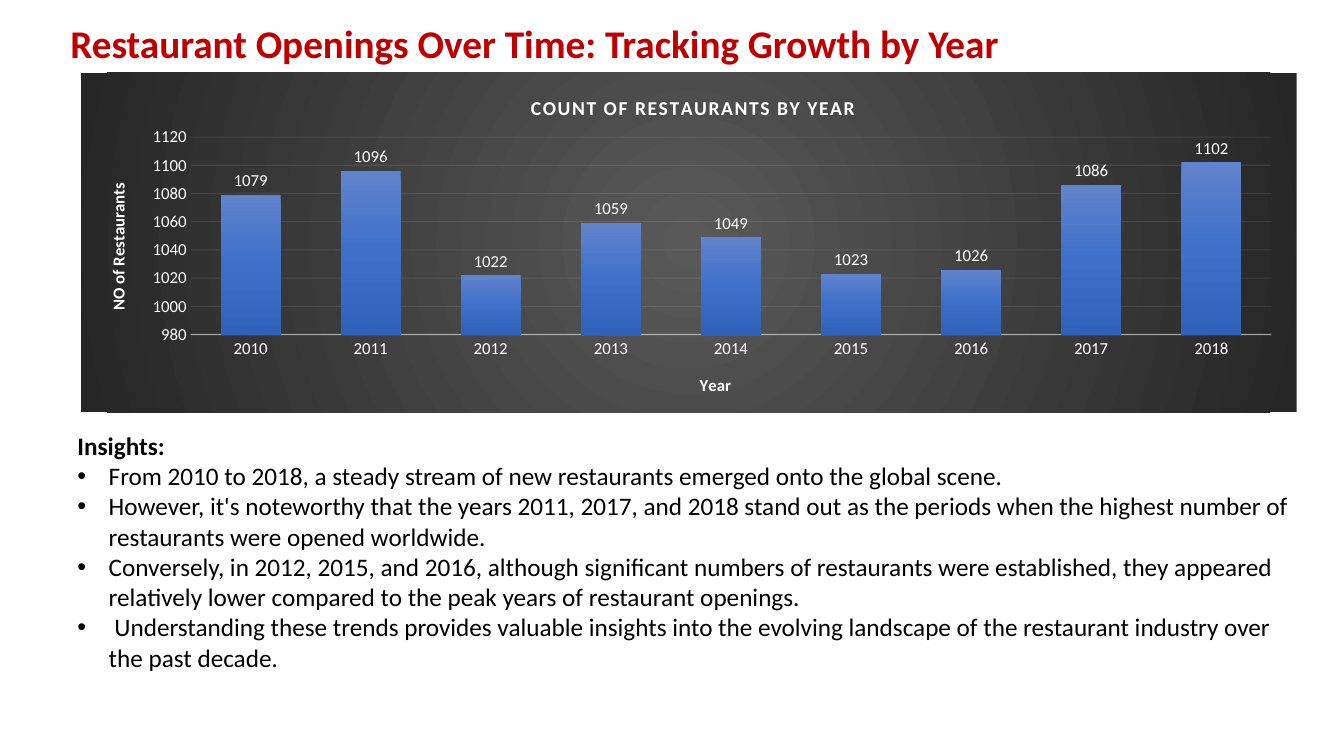
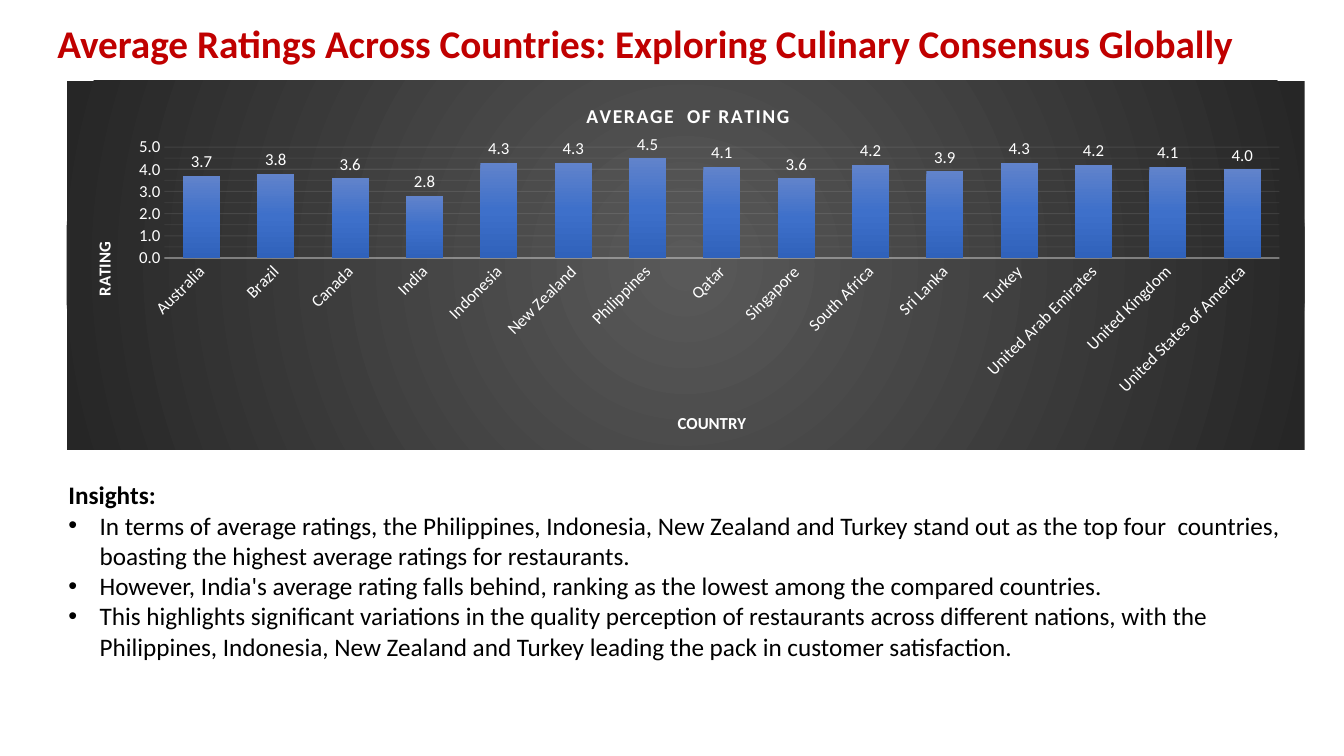
from copy import deepcopy
from dataclasses import dataclass

from lxml import etree
from pptx import Presentation
from pptx.chart.data import CategoryChartData
from pptx.dml.color import RGBColor
from pptx.enum.chart import XL_CHART_TYPE, XL_LABEL_POSITION, XL_TICK_MARK
from pptx.oxml import parse_xml
from pptx.oxml.ns import nsdecls, qn
from pptx.util import Pt

EMU_PER_PX = 9144  # 100 px to the inch
FONT = "Calibri"
COLORS = {
    "title": "C00000",
    "body": "000000",
    "chart_text": "FFFFFF",
    "chart_line": "F2F2F2",
}
PANEL_STOPS = [(0, "595959"), (100, "262626")]
BAR_STOPS = [(0, "6183CB"), (50, "3E70CA"), (100, "3062BB")]
RADIAL = ('<a:path path="circle"><a:fillToRect l="50000" t="50000" '
          'r="50000" b="50000"/></a:path>')
DOWNWARD = '<a:lin ang="5400000" scaled="0"/>'
BULLET_INDENT = 31


@dataclass
class ColumnChart:
    heading: str
    heading_left: int
    category_title: str
    category_title_left: int
    value_title: str
    value_title_top: int
    plot_box: tuple
    scale: tuple  # minimum, maximum, step
    number_format: str
    values: dict
    minor_step: float = 0
    label_angle: int = 0


def px(length):
    return int(length * EMU_PER_PX)


def rgb(name):
    return RGBColor.from_string(COLORS[name])


def style_font(font, size, color, bold=False):
    font.name, font.size, font.bold = FONT, Pt(size), bold
    font.color.rgb = rgb(color)


def add_run(paragraph, text, size, color, bold=False):
    run = paragraph.add_run()
    run.text = text
    style_font(run.font, size, color, bold)
    return run


def gradient(stops, direction):
    stop_xml = "".join(
        f'<a:gs pos="{position * 1000}"><a:srgbClr val="{color}"/></a:gs>'
        for position, color in stops)
    return parse_xml(f'<a:gradFill {nsdecls("a")} rotWithShape="1">'
                     f'<a:gsLst>{stop_xml}</a:gsLst>{direction}</a:gradFill>')


def style_line(line, width, opacity):
    line.width = Pt(width)
    line.fill.solid()
    line.fill.fore_color.rgb = rgb("chart_line")
    for color in line._get_or_add_ln().iter(qn("a:srgbClr")):
        etree.SubElement(color, qn("a:alpha")).set("val", str(opacity * 1000))


def place_in_chart(element, chart_box, left, top, width=0, height=0):
    """Fix a chart part at a px position inside the chart."""
    layout = element.find(qn("c:layout"))
    if layout is None:
        layout = etree.Element(qn("c:layout"))
        element.insert(1 if element.find(qn("c:tx")) is not None else 0, layout)
    manual = etree.SubElement(layout, qn("c:manualLayout"))
    settings = [("xMode", "edge"), ("yMode", "edge"),
                ("x", left / chart_box[2]), ("y", top / chart_box[3])]
    if width:
        settings.insert(0, ("layoutTarget", "inner"))
        settings += [("w", width / chart_box[2]), ("h", height / chart_box[3])]
    for tag, value in settings:
        etree.SubElement(manual, qn(f"c:{tag}")).set("val", str(value))


def write_chart_title(title, text, size, chart_box, left, top):
    run = add_run(title.text_frame.paragraphs[0], text, size, "chart_text", True)
    place_in_chart(title.element, chart_box, left, top)
    return run


def rotate_text(element, degrees):
    body = element.find(".//" + qn("a:bodyPr"))
    body.set("rot", str(degrees * 60000))
    body.set("vert", "horz")


def add_minor_grid(axis, step):
    """Draw minor gridlines like the major ones, at half their opacity."""
    axis.minor_unit = step
    axis.has_minor_gridlines = True
    major = axis._element.find(qn("c:majorGridlines"))
    minor = axis._element.find(qn("c:minorGridlines"))
    minor.append(deepcopy(major.find(qn("c:spPr"))))
    for alpha in minor.iter(qn("a:alpha")):
        alpha.set("val", "5000")


def style_axes(chart, content, box):
    category_axis, value_axis = chart.category_axis, chart.value_axis
    for axis in (category_axis, value_axis):
        axis.major_tick_mark = axis.minor_tick_mark = XL_TICK_MARK.NONE
        style_font(axis.tick_labels.font, 12, "chart_text")

    # Category axis
    style_line(category_axis.format.line, 1, 54)
    if content.label_angle:
        rotate_text(category_axis._element.find(qn("c:txPr")), content.label_angle)
    write_chart_title(category_axis.axis_title, content.category_title, 12, box,
                      content.category_title_left, box[3] - 41)

    # Value axis and its grid
    low, high, step = content.scale
    value_axis.minimum_scale, value_axis.maximum_scale = low, high
    value_axis.major_unit = step
    value_axis.format.line.fill.background()
    value_axis.tick_labels.number_format = content.number_format
    value_axis.tick_labels.number_format_is_linked = False
    style_line(value_axis.major_gridlines.format.line, 0.75, 10)
    if content.minor_step:
        add_minor_grid(value_axis, content.minor_step)
    write_chart_title(value_axis.axis_title, content.value_title, 12, box,
                      23, content.value_title_top)
    rotate_text(value_axis.axis_title.element, -90)


def add_column_chart(slide, box, content):
    data = CategoryChartData(number_format=content.number_format)
    data.categories = list(content.values)
    data.add_series("Series 1", list(content.values.values()))
    chart = slide.shapes.add_chart(
        XL_CHART_TYPE.COLUMN_CLUSTERED, *map(px, box), data).chart
    chart.has_legend = False
    style_font(chart.font, 12, "chart_text")

    # Dark panel
    panel = parse_xml(f'<c:spPr {nsdecls("c", "a")}><a:ln><a:noFill/></a:ln></c:spPr>')
    panel.insert(0, gradient(PANEL_STOPS, RADIAL))
    chart.element.find(qn("c:chart")).addnext(panel)

    # Heading
    chart.has_title = True
    heading = write_chart_title(chart.chart_title, content.heading, 14, box,
                                content.heading_left, 18)
    heading._r.get_or_add_rPr().set("spc", "100")

    # Columns
    plot = chart.plots[0]
    plot.gap_width, plot.overlap = 100, -24
    plot.vary_by_categories = False
    series = plot.series[0]
    series.invert_if_negative = False
    series.format.fill.gradient()
    default_fill = series._element.find(".//" + qn("a:gradFill"))
    default_fill.getparent().replace(default_fill, gradient(BAR_STOPS, DOWNWARD))

    # Value labels
    labels = series.data_labels
    labels.show_value = True
    labels.position = XL_LABEL_POSITION.OUTSIDE_END
    labels.number_format = content.number_format
    labels.number_format_is_linked = False
    style_font(labels.font, 12, "chart_text")

    style_axes(chart, content, box)
    plot_area = chart.element.find(".//" + qn("c:plotArea"))
    place_in_chart(plot_area, box, *content.plot_box)


def add_title(slide, box, text):
    frame = slide.shapes.add_textbox(*map(px, box)).text_frame
    frame.word_wrap = False
    add_run(frame.paragraphs[0], text, 28, "title", True)


def add_insights(slide, box, insights):
    frame = slide.shapes.add_textbox(*map(px, box)).text_frame
    frame.word_wrap = True
    add_run(frame.paragraphs[0], "Insights:", 18, "body", True)
    for insight in insights:
        paragraph = frame.add_paragraph()
        add_run(paragraph, insight, 18, "body")
        properties = paragraph._p.get_or_add_pPr()
        properties.set("marL", str(px(BULLET_INDENT)))
        properties.set("indent", str(-px(BULLET_INDENT)))
        etree.SubElement(properties, qn("a:buFont")).set("typeface", "Arial")
        etree.SubElement(properties, qn("a:buChar")).set("char", "•")


def add_chart_slide(presentation, title, title_box, chart, chart_box,
                    insights, insights_box):
    slide = presentation.slides.add_slide(presentation.slide_layouts[6])
    add_title(slide, title_box, title)
    add_column_chart(slide, chart_box, chart)
    add_insights(slide, insights_box, insights)


OPENINGS = ColumnChart(
    heading="COUNT OF RESTAURANTS BY YEAR", heading_left=443,
    category_title="Year", category_title_left=611,
    value_title="NO of Restaurants", value_title_top=106,
    plot_box=(109, 64, 1072, 196), scale=(980, 1120, 20),
    number_format="General",
    values={"2010": 1079, "2011": 1096, "2012": 1022, "2013": 1059, "2014": 1049,
            "2015": 1023, "2016": 1026, "2017": 1086, "2018": 1102})

RATINGS = ColumnChart(
    heading="AVERAGE  OF RATING", heading_left=512,
    category_title="COUNTRY", category_title_left=603,
    value_title="RATING", value_title_top=157,
    plot_box=(97, 66, 1106, 110), scale=(0, 5, 1),
    number_format="0.0", minor_step=0.5, label_angle=-45,
    values={"Australia": 3.7, "Brazil": 3.8, "Canada": 3.6, "India": 2.8,
            "Indonesia": 4.3, "New Zealand": 4.3, "Philippines": 4.5,
            "Qatar": 4.1, "Singapore": 3.6, "South Africa": 4.2,
            "Sri Lanka": 3.9, "Turkey": 4.3, "United Arab Emirates": 4.2,
            "United Kingdom": 4.1, "United States of America": 4})


def main():
    presentation = Presentation()
    presentation.slide_width, presentation.slide_height = px(1333), px(750)

    add_chart_slide(
        presentation,
        "Restaurant Openings Over Time: Tracking Growth by Year", (60, 14, 943, 57),
        OPENINGS, (80, 72, 1206, 337),
        ["From 2010 to 2018, a steady stream of new restaurants emerged onto the "
         "global scene.",
         "However, it's noteworthy that the years 2011, 2017, and 2018 stand out as "
         "the periods when the highest number of restaurants were opened worldwide.",
         "Conversely, in 2012, 2015, and 2016, although significant numbers of "
         "restaurants were established, they appeared relatively lower compared to "
         "the peak years of restaurant openings.",
         " Understanding these trends provides valuable insights into the evolving "
         "landscape of the restaurant industry over the past decade."],
        (67, 422, 1231, 283))

    add_chart_slide(
        presentation,
        "Average Ratings Across Countries: Exploring Culinary Consensus Globally",
        (47, 14, 1220, 57),
        RATINGS, (66, 80, 1228, 366),
        ["In terms of average ratings, the Philippines, Indonesia, New Zealand and "
         "Turkey stand out as the top four  countries, boasting the highest average "
         "ratings for restaurants.",
         "However, India's average rating falls behind, ranking as the lowest among "
         "the compared countries.",
         "This highlights significant variations in the quality perception of "
         "restaurants across different nations, with the Philippines, Indonesia, "
         "New Zealand and Turkey leading the pack in customer satisfaction."],
        (58, 471, 1254, 222))

    presentation.save("out.pptx")


if __name__ == "__main__":
    main()
